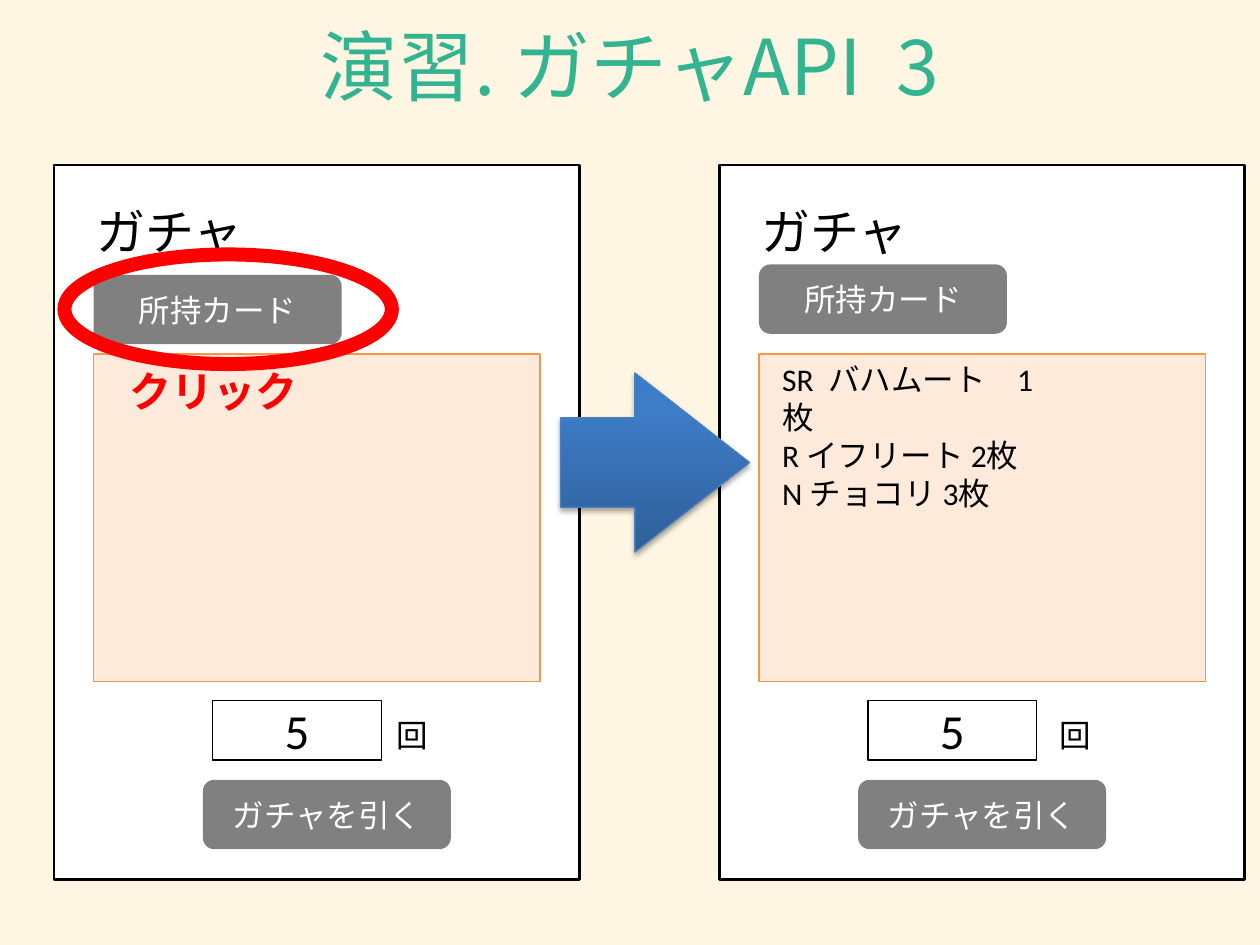
"""Build the gacha exercise slide: two app screens joined by an arrow."""
from copy import deepcopy
from dataclasses import dataclass
from typing import Optional

from lxml import etree
from pptx import Presentation
from pptx import util as u
from pptx.dml.color import RGBColor
from pptx.enum import shapes, text
from pptx.oxml import ns

HUES = {
    "cream": "FEF6E3", "green": "32B490", "white": "FFFFFF", "black": "000000",
    "gray": "808080", "peach": "FDEADA", "orange": "F79646", "red": "FF0000",
    "edge": "4B7EBC", "deep": "2F5F99", "mid": "3D7CC7", "light": "3A7CCB",
}
NOTO, CALI = "Noto Sans CJK JP", "Calibri"
KIND = shapes.MSO_SHAPE
MID = text.PP_ALIGN.CENTER


@dataclass
class Type:
    size: float
    hue: str = "black"
    font: str = CALI
    bold: bool = False


@dataclass
class Look:
    kind: int
    fill: Optional[str] = None
    line: Optional[str] = None
    width: float = 0.75


@dataclass
class Screen:
    left: float
    card: float
    low: float
    unit: float
    lines: tuple = ()


HEAD, BODY, BIG = Type(28, font=NOTO), Type(18), Type(28)
PALE = Type(18, "white")
FRAME = Look(KIND.RECTANGLE, "white", "black", 1.5)
PANE = Look(KIND.RECTANGLE, "peach", "orange")
FIELD = Look(KIND.RECTANGLE, None, "black")
BUTTON = Look(KIND.ROUNDED_RECTANGLE, "gray")
RING = Look(KIND.OVAL, None, "red", 8)
ARROW = Look(KIND.RIGHT_ARROW, None, "edge")

SCREENS = (
    Screen(1.09, 5.54, 4.09, 7.75),
    Screen(14.5, 5.33, 17.3, 21.11,
           ("SR  バハムート　1枚", "R イフリート 2枚", "N チョコリ 3枚")),
)


def rgb(hue: str) -> RGBColor:
    """Look up a colour by name."""
    return RGBColor.from_string(HUES[hue])


def write(shape, lines: tuple, style: Type, align=None) -> None:
    """Fill a shape with one run per paragraph."""
    frame = shape.text_frame
    for i, line in enumerate(lines):
        para = frame.add_paragraph() if i else frame.paragraphs[0]
        para.alignment = align
        run = para.add_run()
        run.text = line
        font = run.font
        font.size, font.bold, font.name = u.Pt(style.size), style.bold, style.font
        font.color.rgb = rgb(style.hue)
        east = etree.SubElement(run._r.get_or_add_rPr(), ns.qn("a:ea"))
        east.set("typeface", NOTO)


def label(slide, box: tuple, lines: tuple, style: Type, wrap=False, align=None):
    """Add a text box."""
    shape = slide.shapes.add_textbox(*map(u.Cm, box))
    shape.text_frame.word_wrap = wrap
    write(shape, lines, style, align)
    return shape


def draw(slide, look: Look, box: tuple, words: str = "", style: Type = BODY):
    """Add a preset shape with optional centred text."""
    shape = slide.shapes.add_shape(look.kind, *map(u.Cm, box))
    shape.shadow.inherit = False
    if look.fill:
        shape.fill.solid()
        shape.fill.fore_color.rgb = rgb(look.fill)
    else:
        shape.fill.background()
    if look.line:
        shape.line.color.rgb = rgb(look.line)
        shape.line.width = u.Pt(look.width)
    else:
        shape.line.fill.background()
    if words:
        shape.text_frame.vertical_anchor = text.MSO_ANCHOR.MIDDLE
        write(shape, (words,), style, MID)
    return shape


def screen(slide, s: Screen) -> None:
    """Draw one app screen."""
    pane = s.left + 0.8
    draw(slide, FRAME, (s.left, 3.33, 10.59, 14.4))
    label(slide, (s.left + 0.6, 3.94, 3.5, 1.45), ("ガチャ",), HEAD)
    draw(slide, PANE, (pane, 7.14, 9, 6.6))
    draw(slide, BUTTON, (pane, s.card, 5, 1.4), "所持カード", PALE)
    draw(slide, FIELD, (s.low + 0.2, 14.12, 3.4, 1.2), "5", BIG)
    label(slide, (s.unit, 14.31, 1.14, 1.02), ("回",), BODY)
    draw(slide, BUTTON, (s.low, 15.72, 5, 1.4), "ガチャを引く", PALE)
    if s.lines:
        label(slide, (pane + 0.22, 7.14, 5.79, 2.57), s.lines, BODY, True)


def arrow(slide) -> None:
    """Draw the shaded arrow between the screens."""
    shape = draw(slide, ARROW, (11.3, 7.52, 3.81, 3.61))
    shape.adjustments[0], shape.adjustments[1] = 0.5, 0.64
    shape.fill.gradient()
    shape.fill.gradient_angle = 90
    props = shape._element.spPr
    stops = props.find(".//" + ns.qn("a:gsLst"))
    stops.append(deepcopy(stops[-1]))
    ramp = ((0, "deep"), (0.8, "mid"), (1, "light"))
    for stop, (place, hue) in zip(shape.fill.gradient_stops, ramp):
        stop.position, stop.color.rgb = place, rgb(hue)
    shade = etree.SubElement(props.find(ns.qn("a:effectLst")), ns.qn("a:outerShdw"),
                             blurRad="40000", dist="23000", dir="5400000", rotWithShape="0")
    tint = etree.SubElement(shade, ns.qn("a:srgbClr"), val=HUES["black"])
    etree.SubElement(tint, ns.qn("a:alpha"), val="35000")


def main() -> None:
    """Build and save the slide."""
    deck = Presentation()
    deck.slide_width, deck.slide_height = u.Cm(25.4), u.Cm(19.05)
    slide = deck.slides.add_slide(deck.slide_layouts[6])
    slide.background.fill.solid()
    slide.background.fill.fore_color.rgb = rgb("cream")
    title = label(slide, (1.27, -0.08, 22.86, 2.77), ("演習. ガチャAPI  3",),
                  Type(44, "green", NOTO), True, MID)
    title.text_frame.vertical_anchor = text.MSO_ANCHOR.MIDDLE
    for s in SCREENS:
        screen(slide, s)
    arrow(slide)
    draw(slide, RING, (1.3, 5.13, 6.6, 2.21))
    label(slide, (2.36, 7.24, 3.94, 1.27), ("クリック",), Type(24, "red", NOTO, True))
    deck.save("out.pptx")


if __name__ == "__main__":
    main()
